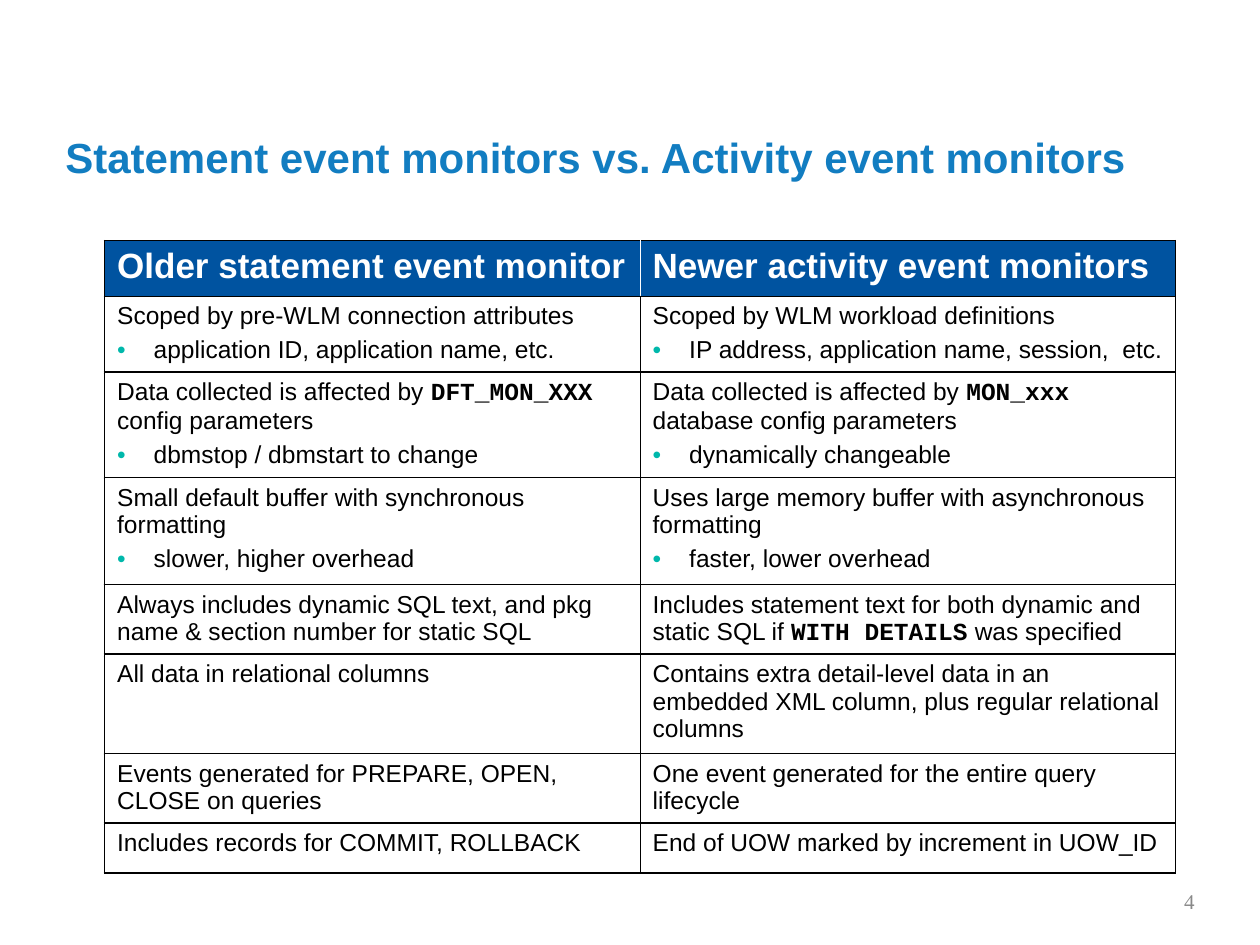
from dataclasses import dataclass

from lxml import etree
from pptx import Presentation
from pptx.dml.color import RGBColor
from pptx.enum.text import MSO_ANCHOR, PP_ALIGN
from pptx.oxml.ns import qn
from pptx.util import Inches, Pt

BOTTOM, MIDDLE = MSO_ANCHOR.BOTTOM, MSO_ANCHOR.MIDDLE
LEFT, RIGHT = PP_ALIGN.LEFT, PP_ALIGN.RIGHT

BLACK = RGBColor(0x00, 0x00, 0x00)
WHITE = RGBColor(0xFF, 0xFF, 0xFF)
TITLE_BLUE = RGBColor(0x12, 0x7D, 0xC1)
HEADER_BLUE = RGBColor(0x00, 0x53, 0xA0)
BULLET_TEAL = RGBColor(0x00, 0xB8, 0xAB)
NUMBER_GREY = RGBColor(0x89, 0x89, 0x89)

TABLE_LEFT, COLUMN_WIDTH = 0.83, 4.25
BULLET_INDENT = 0.29
THICK, THIN = 1.08, 0.45


@dataclass(frozen=True)
class Entry:
    """Cell content: a sentence with an optional code word, and a bullet."""
    text: str
    code: str = ""
    rest: str = ""
    bullet: str = ""


@dataclass(frozen=True)
class Row:
    height: float
    older: Entry
    newer: Entry
    header: bool = False


@dataclass(frozen=True)
class Block:
    """A table of its own; the blocks stack into one comparison."""
    top: float
    rows: tuple[Row, ...]


BLOCKS = (
    Block(1.91, (
        Row(0.44, Entry("Older statement event monitor"),
            Entry("Newer activity event monitors"), header=True),
        Row(0.61, Entry("Scoped by pre-WLM connection attributes",
                        bullet="application ID, application name, etc."),
            Entry("Scoped by WLM workload definitions",
                  bullet="IP address, application name, session,  etc.")),
    )),
    Block(2.95, (
        Row(0.85, Entry("Data collected is affected by ", "DFT_MON_XXX",
                        " config parameters", "dbmstop / dbmstart to change"),
            Entry("Data collected is affected by ", "MON_xxx ",
                  "database config parameters", "dynamically changeable")),
    )),
    Block(3.79, (
        Row(0.85, Entry("Small default buffer with synchronous formatting",
                        bullet="slower, higher overhead"),
            Entry("Uses large memory buffer with asynchronous formatting",
                  bullet="faster, lower overhead")),
    )),
    Block(4.64, (
        Row(0.57, Entry("Always includes dynamic SQL text, and pkg name & "
                        "section number for static SQL"),
            Entry("Includes statement text for both dynamic and static SQL if ",
                  "WITH DETAILS", " was specified")),
    )),
    Block(5.19, (
        Row(0.8, Entry("All data in relational columns"),
            Entry("Contains extra detail-level data in an embedded XML column, "
                  "plus regular relational columns")),
    )),
    Block(5.98, (
        Row(0.57, Entry("Events generated for PREPARE, OPEN, CLOSE on queries"),
            Entry("One event generated for the entire query lifecycle")),
    )),
    Block(6.53, (
        Row(0.4, Entry("Includes records for COMMIT, ROLLBACK"),
            Entry("End of UOW marked by increment in UOW_ID")),
    )),
)


def add_text(para, text: str, *, size: float = 14, color: RGBColor = BLACK,
             bold: bool = False, font: str = "Arial") -> None:
    span = para.add_run()
    span.text = text
    span.font.size = Pt(size)
    span.font.name = font
    span.font.bold = bold
    span.font.color.rgb = color


def add_box(page, left: float, top: float, width: float, height: float,
            anchor: MSO_ANCHOR, align: PP_ALIGN):
    """Add a wrapping text box and return its first paragraph."""
    frame = page.shapes.add_textbox(Inches(left), Inches(top),
                                    Inches(width), Inches(height)).text_frame
    frame.word_wrap = True
    frame.vertical_anchor = anchor
    para = frame.paragraphs[0]
    para.alignment = align
    return para


def set_bullet(para) -> None:
    properties = para._p.get_or_add_pPr()
    properties.set("marL", str(Inches(BULLET_INDENT)))
    properties.set("indent", str(-Inches(BULLET_INDENT)))
    color = etree.SubElement(properties, qn("a:buClr"))
    etree.SubElement(color, qn("a:srgbClr"), val=str(BULLET_TEAL))
    etree.SubElement(properties, qn("a:buFont"), typeface="Arial")
    etree.SubElement(properties, qn("a:buChar"), char="•")


def set_borders(cell, sides: dict[str, tuple[RGBColor, float]]) -> None:
    """Put the border lines ahead of the fill, in the order L, R, T, B."""
    properties = cell._tc.get_or_add_tcPr()
    for position, side in enumerate("LRTB"):
        color, width = sides[side]
        line = etree.Element(qn(f"a:ln{side}"), w=str(Pt(width)))
        fill = etree.SubElement(line, qn("a:solidFill"))
        etree.SubElement(fill, qn("a:srgbClr"), val=str(color))
        properties.insert(position, line)


def fill_cell(cell, entry: Entry, header: bool) -> None:
    cell.fill.solid()
    cell.fill.fore_color.rgb = HEADER_BLUE if header else WHITE
    para = cell.text_frame.paragraphs[0]
    para.space_before = Pt(5 if header else 3.5)
    if header:
        add_text(para, entry.text, size=20, color=WHITE, bold=True)
        return
    add_text(para, entry.text)
    if entry.code:
        add_text(para, entry.code, font="Courier New", bold=True)
        add_text(para, entry.rest)
    if entry.bullet:
        para = cell.text_frame.add_paragraph()
        para.space_before = Pt(3.5)
        set_bullet(para)
        add_text(para, entry.bullet)


def add_block(page, block: Block) -> None:
    height = sum(row.height for row in block.rows)
    table = page.shapes.add_table(
        len(block.rows), 2, Inches(TABLE_LEFT), Inches(block.top),
        Inches(2 * COLUMN_WIDTH), Inches(height)).table
    table.first_row = table.horz_banding = False
    for column in table.columns:
        column.width = Inches(COLUMN_WIDTH)
    for index, row in enumerate(block.rows):
        table.rows[index].height = Inches(row.height)
        outer = (BLACK, THICK)
        middle = (WHITE if row.header else BLACK, THIN)
        above = outer if index == 0 else (BLACK, THIN)
        below = (BLACK, THIN) if row.header else outer
        for side, entry in enumerate((row.older, row.newer)):
            cell = table.cell(index, side)
            fill_cell(cell, entry, row.header)
            set_borders(cell, {"L": middle if side else outer,
                               "R": outer if side else middle,
                               "T": above, "B": below})


def main() -> None:
    deck = Presentation()
    deck.slide_width, deck.slide_height = Inches(10), Inches(7.5)
    page = deck.slides.add_slide(deck.slide_layouts[6])

    title = add_box(page, 0.42, 0.83, 9.17, 0.67, BOTTOM, LEFT)
    title.line_spacing = 0.9
    add_text(title, "Statement event monitors vs. Activity event monitors",
             size=24, color=TITLE_BLUE, bold=True)
    number = add_box(page, 7.25, 6.95, 2.33, 0.4, MIDDLE, RIGHT)
    add_text(number, "4", size=12, color=NUMBER_GREY, font="Times New Roman")

    for block in BLOCKS:
        add_block(page, block)
    deck.save("out.pptx")


if __name__ == "__main__":
    main()
